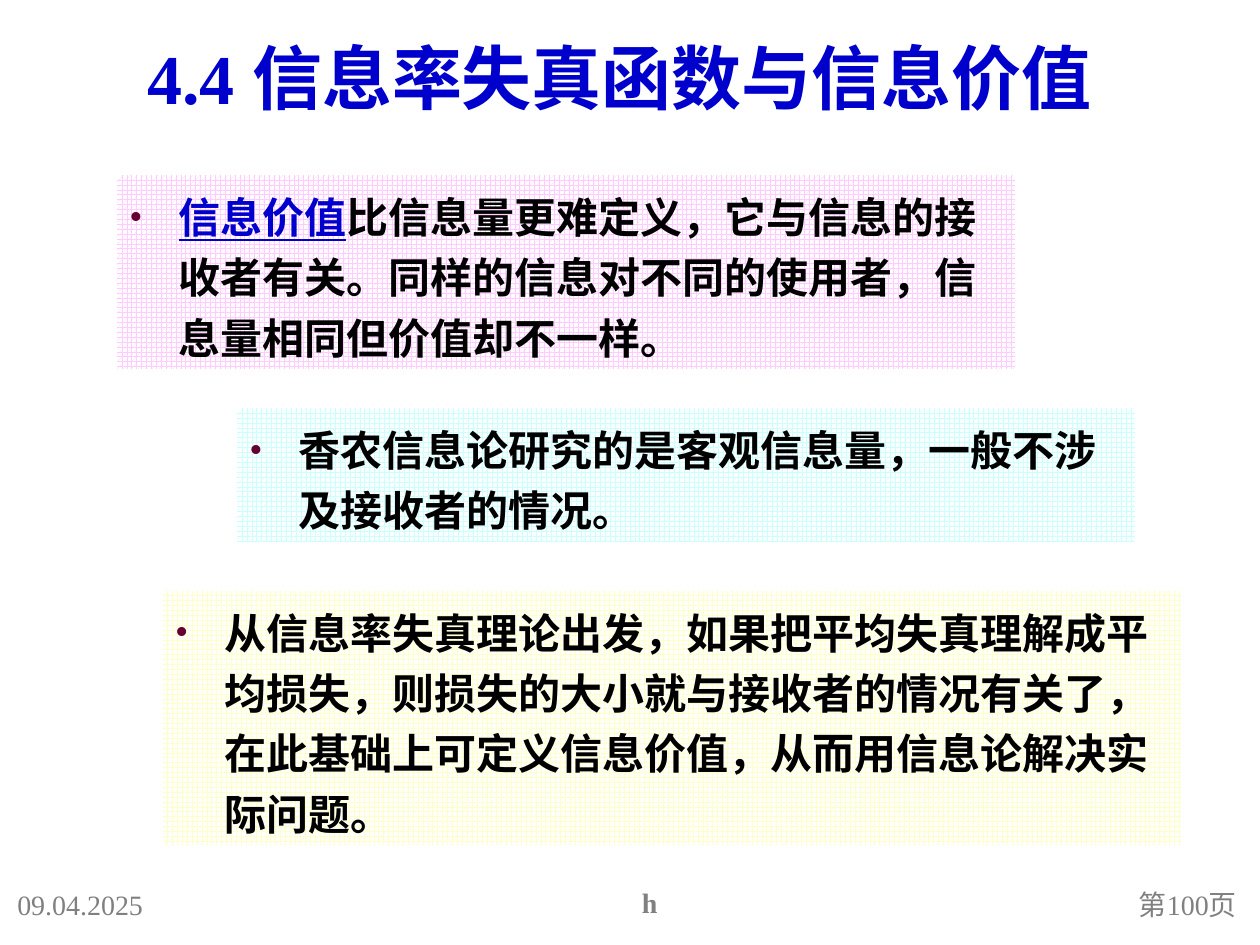
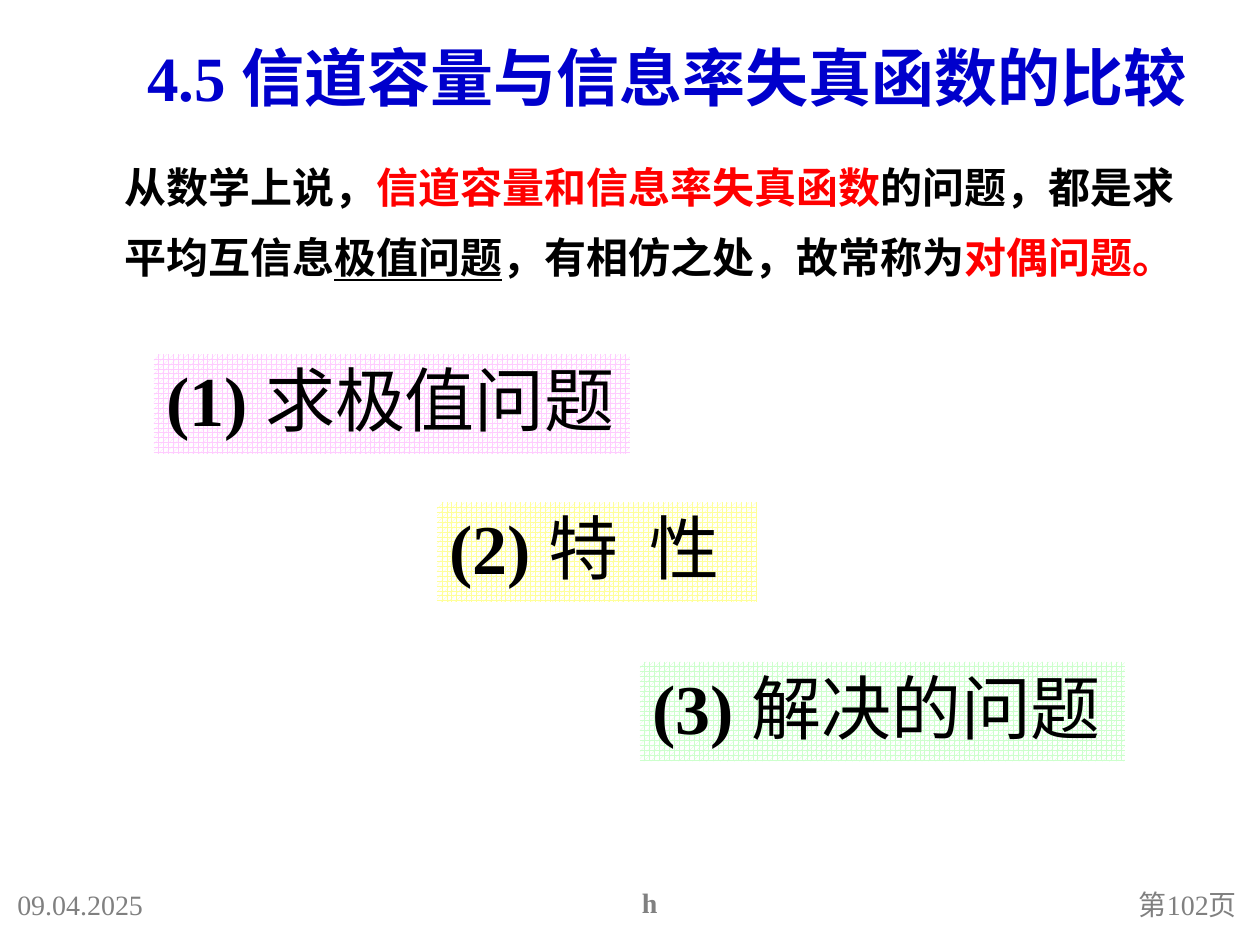
from dataclasses import dataclass

from lxml.etree import SubElement
from pptx import Presentation
from pptx.dml.color import RGBColor
from pptx.enum.dml import MSO_PATTERN
from pptx.enum.lang import MSO_LANGUAGE_ID as Lang
from pptx.enum.shapes import MSO_SHAPE
from pptx.enum.text import MSO_ANCHOR as Anchor, MSO_AUTO_SIZE as AutoSize, PP_ALIGN as Align
from pptx.oxml.ns import qn
from pptx.util import Cm, Pt

FONT = "Times New Roman"
BLACK = RGBColor(0x00, 0x00, 0x00)
WHITE = RGBColor(0xFF, 0xFF, 0xFF)
BLUE = RGBColor(0x00, 0x00, 0xCC)
RED = RGBColor(0xFF, 0x00, 0x00)
GRAY = RGBColor(0x80, 0x80, 0x80)
PINK = RGBColor(0xFF, 0xCC, 0xFF)
CYAN = RGBColor(0xCC, 0xFF, 0xFF)
CREAM = RGBColor(0xFF, 0xFF, 0xCC)
YELLOW = RGBColor(0xFF, 0xFF, 0x99)
GREEN = RGBColor(0xCC, 0xFF, 0xCC)
BULLET_COLOR = "660033"
INDENT = Cm(0.99)


@dataclass(frozen=True)
class Box:
    left: float
    top: float
    width: float
    height: float

    def lengths(self) -> tuple:
        return Cm(self.left), Cm(self.top), Cm(self.width), Cm(self.height)


@dataclass(frozen=True)
class Run:
    text: str
    color: RGBColor = BLACK
    bold: bool = True
    underline: bool = False


@dataclass(frozen=True)
class Panel:
    box: Box
    color: RGBColor
    runs: tuple


TITLE = Box(2.72, 0.53, 22.68, 2.01)
BODY = Box(1.27, 2.72, 22.86, 14.81)
DATE = Box(0.1, 17.73, 3.6, 0.99)
FOOTER = Box(3.99, 17.73, 18.21, 1.12)
PAGE = Box(21.58, 17.73, 3.6, 0.99)

VALUE_PANELS = (
    Panel(Box(2.36, 3.53, 18.11, 3.91), PINK, (
        Run("信息价值", BLUE, underline=True),
        Run("比信息量更难定义，它与信息的接收者有关。"
            "同样的信息对不同的使用者，信息量相同但价值却不一样。"))),
    Panel(Box(4.78, 8.23, 18.11, 2.69), CYAN, (
        Run("香农信息论研究的是客观信息量，一般不涉及接收者的情况。"),)),
    Panel(Box(3.28, 11.91, 20.52, 5.13), CREAM, (
        Run("从信息率失真理论出发，如果把平均失真理解成平均损失，"
            "则损失的大小就与接收者的情况有关了，"
            "在此基础上可定义信息价值，从而用信息论解决实际问题。"),)),
)

DUALITY = (
    Run("从数学上说，"),
    Run("信道容量和信息率失真函数", RED),
    Run("的问题，都是求平均互信息"),
    Run("极值问题", underline=True),
    Run("，有相仿之处，故常称为"),
    Run("对偶问题。", RED),
)

TOPIC_PANELS = (
    Panel(Box(3.1, 7.14, 9.6, 2.01), PINK, (Run("(1) "), Run("求极值问题", bold=False))),
    Panel(Box(8.81, 10.13, 6.45, 2.01), YELLOW, (Run("(2) "), Run("特  性", bold=False))),
    Panel(Box(12.9, 13.34, 9.78, 2.01), GREEN, (Run("(3) "), Run("解决的问题", bold=False))),
)


def write(p, runs: tuple, size: int, align=Align.LEFT, spacing: float = 1.0) -> None:
    p.alignment = align
    p.line_spacing = spacing
    for run in runs:
        r = p.add_run()
        r.text = run.text
        f = r.font
        f.name, f.size, f.bold, f.underline = FONT, Pt(size), run.bold, run.underline
        f.color.rgb = run.color
        f.language_id = Lang.SIMPLIFIED_CHINESE


def add_text(s, box: Box, runs: tuple, size: int, align=Align.LEFT,
             anchor=Anchor.MIDDLE, spacing: float = 1.0):
    tf = s.shapes.add_textbox(*box.lengths()).text_frame
    tf.word_wrap = True
    tf.vertical_anchor = anchor
    p = tf.paragraphs[0]
    write(p, runs, size, align, spacing)
    return p


def add_panel(s, panel: Panel):
    sp = s.shapes.add_shape(MSO_SHAPE.RECTANGLE, *panel.box.lengths())
    sp.shadow.inherit = False
    sp.line.fill.background()
    sp.fill.patterned()
    sp.fill.pattern = MSO_PATTERN.SPHERE
    sp.fill.fore_color.rgb = panel.color
    sp.fill.back_color.rgb = WHITE
    return sp.text_frame


def set_indent(p, first: int) -> None:
    pPr = p._p.get_or_add_pPr()
    pPr.set("marL", str(INDENT))
    pPr.set("indent", str(first))


def add_bullet(p) -> None:
    set_indent(p, -INDENT)
    pPr = p._p.get_or_add_pPr()
    SubElement(SubElement(pPr, qn("a:buClr")), qn("a:srgbClr")).set("val", BULLET_COLOR)
    SubElement(pPr, qn("a:buSzPct")).set("val", "90000")
    SubElement(pPr, qn("a:buFont")).set("typeface", FONT)
    SubElement(pPr, qn("a:buChar")).set("char", "•")


def add_bullet_panel(s, panel: Panel) -> None:
    tf = add_panel(s, panel)
    tf.word_wrap = True
    tf.auto_size = AutoSize.SHAPE_TO_FIT_TEXT
    tf.vertical_anchor = Anchor.TOP
    p = tf.paragraphs[0]
    add_bullet(p)
    write(p, panel.runs, 24, spacing=1.2)


def add_topic_panel(s, panel: Panel) -> None:
    tf = add_panel(s, panel)
    tf.word_wrap = False
    tf.vertical_anchor = Anchor.MIDDLE
    write(tf.paragraphs[0], panel.runs, 40, spacing=0.9)


def add_slide(prs, title: str, title_size: int, page: int):
    s = prs.slides.add_slide(prs.slide_layouts[6])
    add_text(s, PAGE, (Run(f"第{page}页", GRAY, False),), 16, Align.RIGHT)
    add_text(s, DATE, (Run("09.04.2025", GRAY, False),), 16)
    add_text(s, FOOTER, (Run("h", GRAY),), 16, Align.CENTER, Anchor.TOP)
    add_text(s, TITLE, (Run(title, BLUE),), title_size)
    return s


def main() -> None:
    prs = Presentation()
    prs.slide_width, prs.slide_height = Cm(25.4), Cm(19.05)

    s = add_slide(prs, "4.4 信息率失真函数与信息价值", 40, 100)
    for panel in VALUE_PANELS:
        add_bullet_panel(s, panel)

    s = add_slide(prs, "4.5 信道容量与信息率失真函数的比较", 36, 102)
    p = add_text(s, BODY, DUALITY, 24, anchor=Anchor.TOP, spacing=1.4)
    set_indent(p, 0)
    for panel in TOPIC_PANELS:
        add_topic_panel(s, panel)

    prs.save("out.pptx")


if __name__ == "__main__":
    main()
